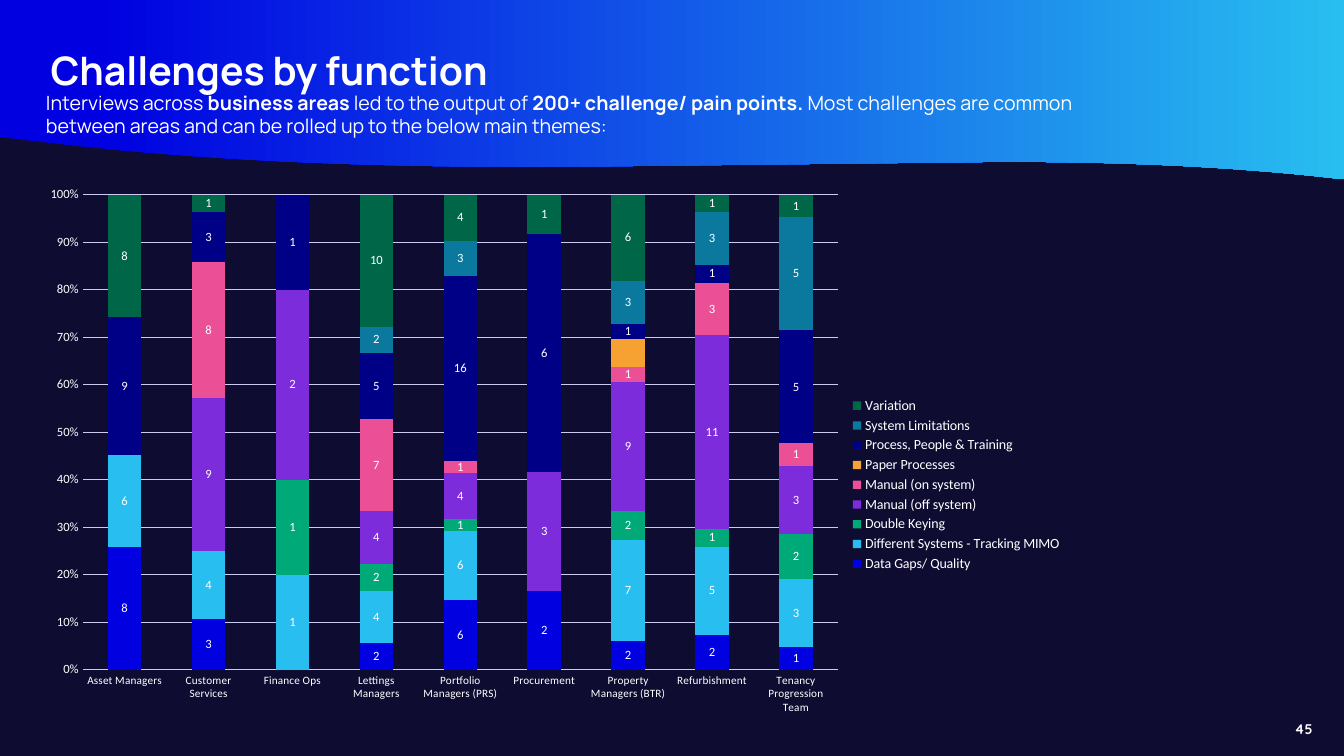
from lxml import etree
from pptx import Presentation
from pptx.chart.data import CategoryChartData
from pptx.dml.color import RGBColor
from pptx.enum.chart import XL_CHART_TYPE, XL_LEGEND_POSITION, XL_TICK_MARK
from pptx.enum.text import MSO_ANCHOR, PP_ALIGN
from pptx.oxml.ns import qn
from pptx.util import Cm, Pt

NIGHT = RGBColor(0x0F, 0x0C, 0x32)
WHITE = RGBColor(0xFF, 0xFF, 0xFF)
BLUE = RGBColor(0x00, 0x00, 0xE1)
SKY = RGBColor(0x28, 0xBE, 0xF0)
GREEN = RGBColor(0x00, 0xAA, 0x78)
PURPLE = RGBColor(0x7D, 0x2C, 0xDC)
PINK = RGBColor(0xEB, 0x50, 0x96)
ORANGE = RGBColor(0xF5, 0xA2, 0x32)
NAVY = RGBColor(0x00, 0x00, 0x87)
TEAL = RGBColor(0x0B, 0x79, 0x9D)
FOREST = RGBColor(0x00, 0x66, 0x48)
LILAC = RGBColor(0xCC, 0xC9, 0xF2)


def style_font(font, size, name="Calibri", bold=False):
    font.size = Pt(size)
    font.name = name
    font.bold = bold
    font.color.rgb = WHITE


def curve_points(start, control1, control2, end, steps=40):
    """Points along a cubic curve, in EMU."""
    points = []
    for step in range(1, steps + 1):
        t = step / steps
        weights = ((1 - t) ** 3, 3 * t * (1 - t) ** 2, 3 * t ** 2 * (1 - t), t ** 3)
        corners = (start, control1, control2, end)
        points.append(tuple(Cm(sum(w * c[axis] for w, c in zip(weights, corners)))
                            for axis in (0, 1)))
    return points


prs = Presentation()
prs.slide_width, prs.slide_height = Cm(33.87), Cm(19.05)
slide = prs.slides.add_slide(prs.slide_layouts[5])
slide.background.fill.solid()
slide.background.fill.fore_color.rgb = NIGHT

# Title
title = slide.shapes.title
title.left, title.top, title.width, title.height = Cm(1.02), Cm(0.76), Cm(29.26), Cm(2.13)
title.text_frame.vertical_anchor = MSO_ANCHOR.MIDDLE
heading = title.text_frame.paragraphs[0]
heading.alignment = PP_ALIGN.LEFT
heading.line_spacing = 0.9
heading_run = heading.add_run()
heading_run.text = "Challenges by function"
style_font(heading_run.font, 28, "Manrope", True)

# Wavy header band behind the title
right_edge, left_bend = (33.87, 4.52), (15.44, 4.19)
outline = slide.shapes.build_freeform(Cm(33.87), Cm(4.52))
outline.add_line_segments(
    curve_points(right_edge, (31.09, 4.19), (27.84, 4.04), (24.23, 4.09))
    + curve_points(left_bend, (9.3, 4.27), (4.19, 4.01), (0, 3.45))
    + [(0, 0), (Cm(33.87), 0)])
band = outline.convert_to_shape()
band.shadow.inherit = False
band.line.fill.background()
band.fill.gradient()
band.fill.gradient_angle = 0
for stop, position, color in zip(band.fill.gradient_stops, (0.07, 1), (BLUE, SKY)):
    stop.position = position
    stop.color.rgb = color
title.element.addprevious(band.element)

# Challenges per function
functions = ["Asset Managers", "Customer Services", "Finance Ops", "Lettings Managers",
             "Portfolio Managers (PRS)", "Procurement", "Property Managers (BTR)",
             "Refurbishment", "Tenancy Progression Team"]
themes = [
    ("Data Gaps/ Quality", BLUE, (8, 3, None, 2, 6, 2, 2, 2, 1)),
    ("Different Systems - Tracking MIMO", SKY, (6, 4, 1, 4, 6, None, 7, 5, 3)),
    ("Double Keying", GREEN, (None, None, 1, 2, 1, None, 2, 1, 2)),
    ("Manual (off system)", PURPLE, (None, 9, 2, 4, 4, 3, 9, 11, 3)),
    ("Manual (on system)", PINK, (None, 8, None, 7, 1, None, 1, 3, 1)),
    ("Paper Processes", ORANGE, (None,) * 6 + (2, None, None)),
    ("Process, People & Training", NAVY, (9, 3, 1, 5, 16, 6, 1, 1, 5)),
    ("System Limitations", TEAL, (None, None, None, 2, 3, None, 3, 3, 5)),
    ("Variation", FOREST, (8, 1, None, 10, 4, 1, 6, 1, 1)),
]
challenges = CategoryChartData()
challenges.categories = functions
for theme, _, counts in themes:
    challenges.add_series(theme, counts)
chart = slide.shapes.add_chart(XL_CHART_TYPE.COLUMN_STACKED_100, Cm(0.91), Cm(4.52),
                               Cm(26.11), Cm(15.39), challenges).chart
style_font(chart.font, 10)
chart.has_title = False
chart.has_legend = True
chart.legend.position = XL_LEGEND_POSITION.RIGHT
chart.legend.include_in_layout = False
style_font(chart.legend.font, 10)

bars = chart.plots[0]
bars.gap_width, bars.overlap = 150, 100
bars.vary_by_categories = False
for series, (theme, color, _) in zip(bars.series, themes):
    series.format.fill.solid()
    series.format.fill.fore_color.rgb = color
    if theme != "Paper Processes":
        series.data_labels.show_value = True
        style_font(series.data_labels.font, 9)

# Axes
for axis, size in ((chart.category_axis, 8), (chart.value_axis, 9)):
    axis.major_tick_mark = axis.minor_tick_mark = XL_TICK_MARK.NONE
    axis.format.line.fill.background()
    style_font(axis.tick_labels.font, size)
chart.value_axis.tick_labels.number_format = "0%"
chart.value_axis.tick_labels.number_format_is_linked = False
gridlines = chart.value_axis.major_gridlines.format.line
gridlines.color.rgb = LILAC
gridlines.width = Pt(0.75)

# Fixed inner plot area
plot_area = bars._element.getparent()
for old_layout in plot_area.findall(qn("c:layout")):
    plot_area.remove(old_layout)
layout = etree.Element(qn("c:layout"))
manual = etree.SubElement(layout, qn("c:manualLayout"))
for tag, value in (("layoutTarget", "inner"), ("xMode", "edge"), ("yMode", "edge"),
                   ("x", "0.045"), ("y", "0.025"), ("w", "0.729"), ("h", "0.778")):
    etree.SubElement(manual, qn("c:" + tag)).set("val", value)
plot_area.insert(0, layout)

# Introduction
intro = slide.shapes.add_textbox(Cm(0.91), Cm(2.16), Cm(27.51), Cm(1.45)).text_frame
intro.word_wrap = True
for text, bold in (
        ("Interviews across ", False), ("business areas ", True),
        ("led to the output of ", False), ("200+ challenge/ pain points. ", True),
        ("Most challenges are common between areas and can be rolled up "
         "to the below main themes:", False)):
    run = intro.paragraphs[0].add_run()
    run.text = text
    style_font(run.font, 14, "Manrope", bold)

# Page number
page = slide.shapes.add_textbox(Cm(30.84), Cm(18.16), Cm(2.24), Cm(0.43)).text_frame
page.word_wrap = True
page.margin_left = page.margin_right = page.margin_top = page.margin_bottom = 0
page.paragraphs[0].alignment = PP_ALIGN.RIGHT
page_run = page.paragraphs[0].add_run()
page_run.text = "45"
style_font(page_run.font, 10, "Quicksand", True)

prs.save("out.pptx")
